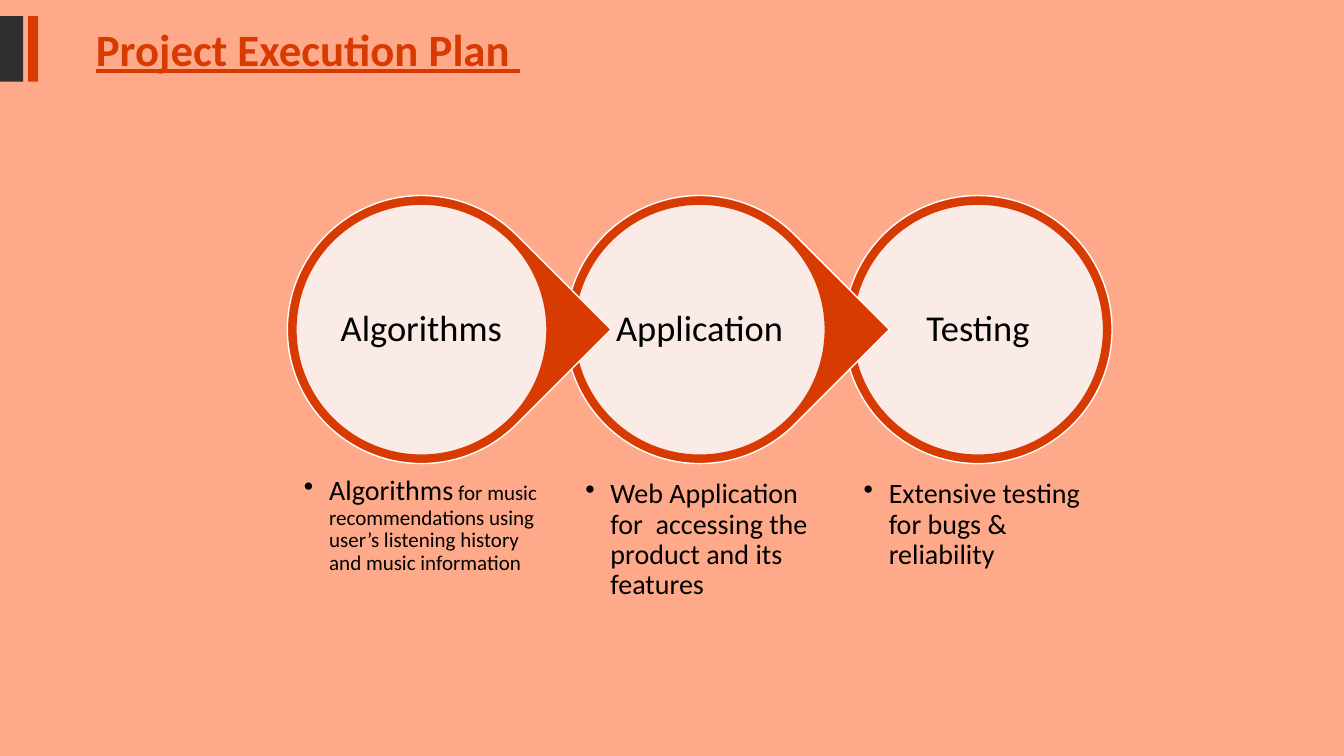
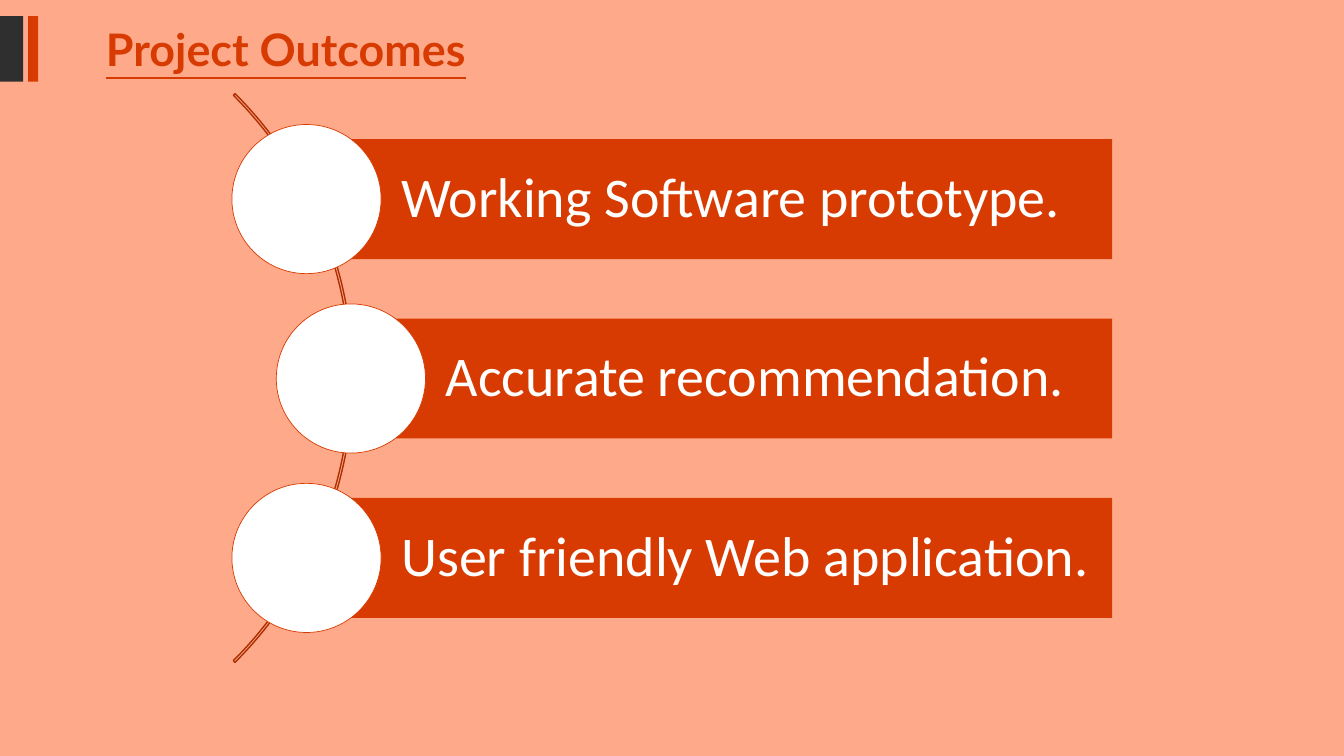
from dataclasses import dataclass

from lxml import etree
from pptx import Presentation
from pptx.dml.color import RGBColor
from pptx.enum import shapes, text
from pptx.oxml.ns import qn
from pptx.util import Inches, Pt


@dataclass(frozen=True)
class Theme:
    backdrop: RGBColor = RGBColor.from_string("FEAA8A")
    accent: RGBColor = RGBColor.from_string("D83B01")
    arc: RGBColor = RGBColor.from_string("AD2F01")
    dark: RGBColor = RGBColor.from_string("2F2F2F")
    white: RGBColor = RGBColor.from_string("FFFFFF")
    black: RGBColor = RGBColor.from_string("000000")
    font: str = "Calibri"
    title_size: int = 32
    outcome_size: int = 40
    stage_size: int = 26
    detail_size: int = 20
    small_size: int = 15


theme = Theme()
KIND = shapes.MSO_SHAPE
ALIGN = text.PP_ALIGN
ANCHOR = text.MSO_ANCHOR


def write(shape, runs, *, color, font=theme.font, bold=False, underline=False,
          align=ALIGN.LEFT, anchor=ANCHOR.TOP, insets=(0.1, 0.05, 0.1, 0.05),
          spacing=0.9, wrap=True, bullet=False):
    frame = shape.text_frame
    frame.word_wrap = wrap
    frame.vertical_anchor = anchor
    frame.margin_left, frame.margin_top, frame.margin_right, frame.margin_bottom = map(Inches, insets)
    paragraph = frame.paragraphs[0]
    paragraph.alignment = align
    paragraph.line_spacing = spacing
    if bullet:
        properties = paragraph._p.get_or_add_pPr()
        properties.set("marL", str(Inches(0.25)))
        properties.set("indent", str(Inches(-0.25)))
        etree.SubElement(properties, qn("a:buChar")).set("char", "•")
    for words, size in runs:
        run = paragraph.add_run()
        run.text = words
        run.font.name = font
        run.font.size = Pt(size)
        run.font.bold = bold
        run.font.underline = underline
        run.font.color.rgb = color


def draw(slide, kind, left, top, width, height, fill=None, line=None, weight=1):
    shape = slide.shapes.add_shape(kind, Inches(left), Inches(top), Inches(width), Inches(height))
    shape.shadow.inherit = False
    if fill is None:
        shape.fill.background()
    else:
        shape.fill.solid()
        shape.fill.fore_color.rgb = fill
    if line is None:
        shape.line.fill.background()
    else:
        shape.line.color.rgb = line
        shape.line.width = Pt(weight)
    return shape


deck = Presentation()
deck.slide_width, deck.slide_height = Inches(13.33), Inches(7.5)
deck.slide_master.background.fill.solid()
deck.slide_master.background.fill.fore_color.rgb = theme.backdrop

headings = [
    ("Project Execution Plan ", 0.85, theme.font, ALIGN.LEFT),
    ("Project Outcomes", -0.5, "Lato", ALIGN.CENTER),
]
for heading, left, font, align in headings:
    slide = deck.slides.add_slide(deck.slide_layouts[5])
    title = slide.shapes.title
    title.left, title.top = Inches(left), Inches(0.27)
    title.width, title.height = Inches(6.67), Inches(0.54)
    write(title, [(heading, theme.title_size)], color=theme.accent, font=font,
          bold=True, underline=True, align=align, spacing=0.8)
    title.text_frame.auto_size = text.MSO_AUTO_SIZE.SHAPE_TO_FIT_TEXT
    draw(slide, KIND.RECTANGLE, 0, 0.16, 0.23, 0.65, theme.dark)
    draw(slide, KIND.RECTANGLE, 0.28, 0.16, 0.1, 0.65, theme.accent)

plan, outcomes = deck.slides

stages = [
    ("Algorithms", KIND.TEAR, 0.08, [
        ("Algorithms", theme.detail_size),
        (" for music recommendations using user’s listening history and music information",
         theme.small_size)]),
    ("Application", KIND.TEAR, 0.11, [
        ("Web Application  for  accessing the product and its features", theme.detail_size)]),
    ("Testing", KIND.OVAL, 0.11, [
        ("Extensive testing for bugs & reliability", theme.detail_size)]),
]
ring, disc, middle = 2.66, 2.49, 3.27
for index, (stage, outline, inset, detail) in reversed(list(enumerate(stages))):
    center = 4.18 + 2.76 * index
    pointer = draw(plan, outline, center - ring / 2, middle - ring / 2, ring, ring,
                   theme.accent, theme.white)
    if outline == KIND.TEAR:
        pointer.rotation = 45
    face = draw(plan, KIND.OVAL, center - disc / 2, middle - disc / 2, disc, disc,
                theme.white, theme.accent)
    tint = face.fill._xPr.find(qn("a:solidFill"))[0]
    etree.SubElement(tint, qn("a:alpha")).set("val", "90000")
    write(face, [(stage, theme.stage_size)], color=theme.black, align=ALIGN.CENTER,
          anchor=ANCHOR.MIDDLE, insets=(0.04,) * 4, wrap=False)
    note = plan.shapes.add_textbox(Inches(center - disc / 2), Inches(4.65), Inches(disc), Inches(1.46))
    write(note, detail, color=theme.black, insets=(inset,) * 4, bullet=True)

arc = draw(outcomes, KIND.BLOCK_ARC, -4.48, -0.24, 7.98, 7.98, line=theme.arc)
for index, value in enumerate((189, 27, 0.003)):
    arc.adjustments[index] = value

results = [
    ("Working Software prototype.", 3.04),
    ("Accurate recommendation.", 3.48),
    ("User friendly Web application.", 3.04),
]
bar_height, knob, right_edge = 1.19, 1.48, 11.03
for index, (result, left) in enumerate(results):
    top = 1.38 + 1.78 * index
    bar = draw(outcomes, KIND.RECTANGLE, left, top, right_edge - left, bar_height, theme.accent)
    write(bar, [(result, theme.outcome_size)], color=theme.white, anchor=ANCHOR.MIDDLE,
          insets=(0.94, 0.11, 0.11, 0.11))
    draw(outcomes, KIND.OVAL, left - knob / 2, top + (bar_height - knob) / 2, knob, knob,
         theme.white, theme.accent, 0.5)

deck.save("out.pptx")
